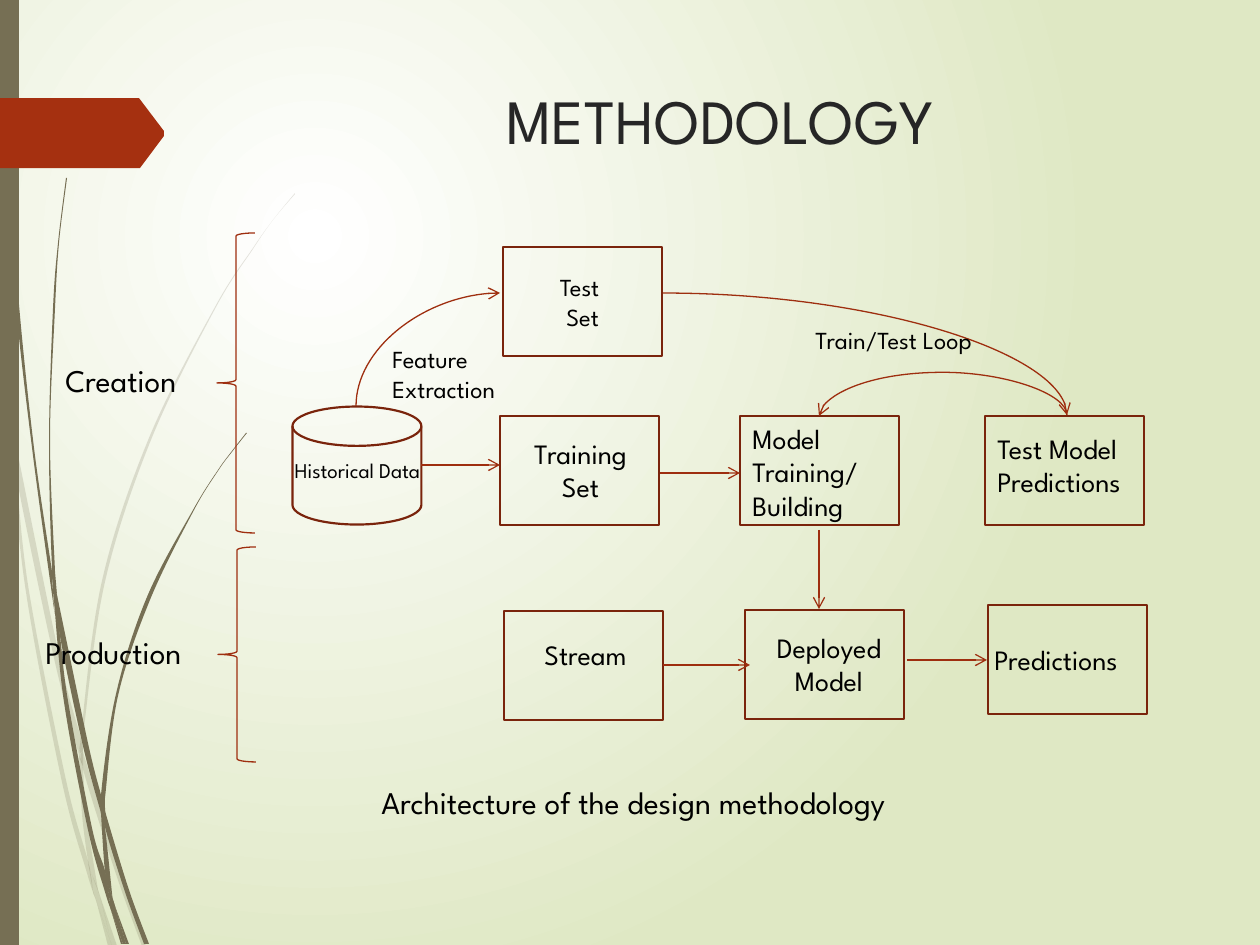
from dataclasses import dataclass

import lxml.etree
import pptx
import pptx.dml.color
import pptx.enum.dml
import pptx.enum.shapes
import pptx.enum.text
import pptx.oxml.ns
import pptx.util

EMU_PER_PX = 914400 / 126
FONT = "League Spartan"
COLORS = {"paper": "FFFFFF", "edge": "DFE8C4", "olive": "766F54", "ribbon": "A53010",
          "box": "7A240C", "link": "9E2E0F", "title": "262626", "text": "000000"}
SHAPES = pptx.enum.shapes.MSO_SHAPE
qn = pptx.oxml.ns.qn
Points = tuple[tuple[int, int], ...]


@dataclass(frozen=True)
class Outline:
    left: int
    top: int
    width: int = 159
    height: int = 109
    kind: int = SHAPES.RECTANGLE
    color: str = "box"
    weight: float = 1.25
    turn: int = 0


@dataclass(frozen=True)
class Label:
    left: int
    top: int
    width: int
    height: int
    lines: tuple[str, ...]
    size: int = 16
    centered: bool = False
    color: str = "text"


@dataclass(frozen=True)
class Link:
    start: tuple[int, int]
    end: tuple[int, int]
    preset: str = "line"
    turn: int = 0
    bend: int | None = None


@dataclass(frozen=True)
class Blade:
    """A piece of grass between two smooth edges, one going out and one back."""
    out: Points
    back: Points


PALE_BLADES = (
    Blade(((10, 441), (8, 406), (0, 355)), ((0, 377), (10, 433))),
    Blade(((14, 435), (16, 474), (54, 658), (79, 755)), ((81, 738), (59, 655), (14, 435))),
    Blade(((83, 751), (83, 769), (116, 874), (142, 946)),
          ((146, 946), (120, 872), (87, 765), (83, 751))),
    Blade(((100, 896), (112, 946)), ((117, 946), (100, 896))),
    Blade(((10, 441), (26, 592), (62, 782), (87, 873), (96, 900)),
          ((93, 891), (88, 861), (66, 780), (29, 591), (16, 474), (10, 441))),
    Blade(((79, 755), (82, 814), (88, 861), (91, 872), (100, 896)),
          ((98, 890), (86, 814), (83, 769), (79, 755))),
    Blade(((295, 193), (273, 220), (253, 248), (215, 307), (149, 438), (102, 581),
           (81, 736), (83, 751)),
          ((83, 736), (105, 582), (151, 440), (215, 309), (253, 249), (273, 220),
           (295, 194))),
    Blade(((96, 900), (108, 946)), ((112, 946), (96, 900))),
    Blade(((81, 738), (79, 755), (83, 766)), ((83, 769), (83, 751), (81, 738))),
    Blade(((88, 861), (93, 891), (96, 900), (112, 946)),
          ((112, 946), (100, 896), (91, 872), (88, 861))),
)
DARK_BLADES = (
    Blade(((3, 0), (6, 139), (15, 294), (32, 447), (53, 601), (54, 606)),
          ((52, 576), (52, 571), (34, 447), (18, 292), (8, 137), (4, 60), (4, 0))),
    Blade(((57, 595), (60, 636), (83, 746), (101, 813)),
          ((101, 798), (101, 795), (88, 743), (57, 595))),
    Blade(((105, 808), (105, 827), (125, 892), (144, 944)),
          ((149, 944), (129, 890), (107, 818), (105, 808))),
    Blade(((54, 601), (64, 702), (88, 830), (105, 892), (111, 910)),
          ((110, 903), (105, 871), (92, 828), (68, 701), (60, 636), (54, 601))),
    Blade(((66, 178), (58, 243), (53, 309), (49, 440), (52, 566), (57, 595)),
          ((55, 571), (50, 440), (55, 309), (59, 243), (67, 178))),
    Blade(((115, 906), (126, 944)), ((129, 944), (115, 906))),
    Blade(((52, 566), (52, 571), (54, 601), (60, 636)), ((57, 595), (52, 566))),
    Blade(((246, 433), (232, 451), (218, 470), (193, 510), (147, 597), (116, 694),
           (101, 795), (105, 808)),
          ((105, 798), (118, 696), (150, 600), (193, 512), (218, 471), (232, 452),
           (247, 433))),
    Blade(((111, 910), (121, 944)), ((123, 944), (111, 910))),
    Blade(((101, 813), (105, 871), (110, 890), (115, 906)),
          ((113, 902), (105, 827), (102, 820), (101, 813))),
    Blade(((101, 795), (101, 813), (102, 820), (105, 827)), ((105, 808), (101, 795))),
    Blade(((105, 871), (110, 903), (111, 910), (123, 944)),
          ((126, 944), (115, 906), (110, 890), (105, 871))),
)
RIBBON = ((0, 98), (139, 98), (164, 131), (164, 136), (140, 168), (0, 168))
OUTLINES = (
    Outline(298, 401, 118, 129, SHAPES.FLOWCHART_DIRECT_ACCESS_STORAGE, turn=270),
    Outline(500, 416), Outline(740, 416), Outline(985, 416),
    Outline(503, 247), Outline(504, 611), Outline(745, 610), Outline(988, 605),
    Outline(217, 233, 38, 300, SHAPES.LEFT_BRACE, "link", 0.75),
    Outline(218, 547, 38, 215, SHAPES.LEFT_BRACE, "link", 0.75),
)
LINKS = (
    Link((421, 465), (500, 465)), Link((660, 473), (740, 473)),
    Link((663, 665), (750, 665)), Link((819, 530), (819, 609)),
    Link((907, 660), (987, 660)),
    Link((356, 406), (500, 293), "curvedConnector2", turn=90),
    Link((663, 293), (1067, 415), "curvedConnector2"),
    Link((1067, 415), (819, 416), "curvedConnector3", turn=270, bend=-4300000),
)
LABELS = (
    Label(238, 75, 964, 158, ("METHODOLOGY",), 36, True, "title"),
    Label(273, 451, 169, 63, ("Historical Data",), 12, True),
    Label(502, 266, 155, 72, ("Test", " Set"), 14, True),
    Label(503, 430, 155, 81, ("Training Set",), centered=True),
    Label(506, 631, 159, 47, ("Stream",), centered=True),
    Label(740, 624, 178, 81, ("Deployed Model",), centered=True),
    Label(982, 636, 210, 47, ("Predictions",)),
    Label(740, 415, 159, 115, ("Model Training/", "Building")),
    Label(985, 425, 198, 81, ("Test Model Predictions",)),
    Label(803, 319, 183, 43, ("Train/Test Loop",), 14),
    Label(380, 338, 160, 72, ("Feature Extraction",), 14),
    Label(53, 355, 175, 50, ("Creation",), 18),
    Label(33, 627, 204, 50, ("Production",), 18),
    Label(153, 777, 961, 50, ("Architecture of the design methodology",), 18, True),
)


def emu(px: float) -> int:
    return round(px * EMU_PER_PX)


def rgb(name: str) -> pptx.dml.color.RGBColor:
    return pptx.dml.color.RGBColor.from_string(COLORS[name])


def paint_background(slide) -> None:
    fill = slide.background.fill
    fill.gradient()
    for stop, name in zip(fill.gradient_stops, ("paper", "edge")):
        stop.color.rgb = rgb(name)
    gradient = next(slide.element.iter(qn("a:gradFill")))
    gradient.remove(gradient.find(qn("a:lin")))
    radial = lxml.etree.SubElement(gradient, qn("a:path"), path="circle")
    lxml.etree.SubElement(radial, qn("a:fillToRect"),
                          l="50000", t="50000", r="100000", b="100000")


def paint(shape, color: str) -> None:
    shape.shadow.inherit = False
    shape.fill.solid()
    shape.fill.fore_color.rgb = rgb(color)
    shape.line.fill.background()


def draw_polygon(slide, points: Points, color: str):
    corners = [(emu(x), emu(y)) for x, y in points]
    builder = slide.shapes.build_freeform(*corners[0], scale=1.0)
    builder.add_line_segments(corners[1:], close=True)
    polygon = builder.convert_to_shape()
    paint(polygon, color)
    return polygon


def draw_blade(slide, blade: Blade, opacity: int = 100) -> None:
    """Draw the blade as a polygon, then bend each edge into Bezier curves."""
    polygon = draw_polygon(slide, blade.out + blade.back, "olive")
    properties = polygon.element.spPr
    sides = list(next(properties.iter(qn("a:moveTo"))).getparent())[:-1]
    corners = [(int(side[0].get("x")), int(side[0].get("y"))) for side in sides]
    turn = len(blade.out)
    for first, last in ((0, turn), (turn, len(corners))):
        edge = corners[first:last]
        padded = [edge[0], *edge, edge[-1]]
        for side, a, b, c, d in zip(sides[first + 1:last], padded, padded[1:],
                                    padded[2:], padded[3:]):
            side.tag = qn("a:cubicBezTo")
            handles = ([q + (r - p) / 6 for p, q, r in zip(a, b, c)],
                       [q - (r - p) / 6 for p, q, r in zip(b, c, d)])
            for place, (x, y) in enumerate(handles):
                side.insert(place, lxml.etree.Element(qn("a:pt"), x=str(round(x)),
                                                      y=str(round(y))))
    if opacity < 100:
        tint = next(properties.iter(qn("a:srgbClr")))
        lxml.etree.SubElement(tint, qn("a:alpha"), val=str(opacity * 1000))


def draw_outline(slide, outline: Outline) -> None:
    shape = slide.shapes.add_shape(outline.kind, emu(outline.left), emu(outline.top),
                                   emu(outline.width), emu(outline.height))
    shape.rotation = outline.turn
    shape.shadow.inherit = False
    shape.fill.background()
    shape.line.color.rgb = rgb(outline.color)
    shape.line.width = pptx.util.Pt(outline.weight)


def draw_link(slide, link: Link) -> None:
    """Draw an arrow; a turned one is first laid out unrotated about its middle."""
    (x1, y1), (x2, y2) = link.start, link.end
    middle_x, middle_y = (x1 + x2) / 2, (y1 + y2) / 2
    dx, dy = x1 - middle_x, y1 - middle_y
    dx, dy = {0: (dx, dy), 90: (dy, -dx), 270: (-dy, dx)}[link.turn]
    connector = slide.shapes.add_connector(
        pptx.enum.shapes.MSO_CONNECTOR.STRAIGHT, emu(middle_x + dx), emu(middle_y + dy),
        emu(middle_x - dx), emu(middle_y - dy))
    connector.rotation = link.turn
    connector.line.color.rgb = rgb("link")
    connector.line.width = pptx.util.Pt(0.75)
    properties = connector.element.spPr
    geometry = properties.find(qn("a:prstGeom"))
    geometry.set("prst", link.preset)
    if link.bend is not None:
        lxml.etree.SubElement(geometry.find(qn("a:avLst")), qn("a:gd"),
                              name="adj1", fmla=f"val {link.bend}")
    lxml.etree.SubElement(properties.find(qn("a:ln")), qn("a:tailEnd"), type="arrow")
    lxml.etree.SubElement(properties, qn("a:effectLst"))


def draw_label(slide, label: Label) -> None:
    frame = slide.shapes.add_textbox(emu(label.left), emu(label.top),
                                     emu(label.width), emu(label.height)).text_frame
    frame.word_wrap = True
    for index, line in enumerate(label.lines):
        paragraph = frame.add_paragraph() if index else frame.paragraphs[0]
        if label.centered:
            paragraph.alignment = pptx.enum.text.PP_ALIGN.CENTER
        run = paragraph.add_run()
        run.text = line
        run.font.name = FONT
        run.font.size = pptx.util.Pt(label.size)
        run.font.color.rgb = rgb(label.color)


def main() -> None:
    deck = pptx.Presentation()
    deck.slide_width, deck.slide_height = emu(1260), emu(945)
    slide = deck.slides.add_slide(deck.slide_layouts[6])
    paint_background(slide)
    for blade in PALE_BLADES:
        draw_blade(slide, blade, opacity=20)
    for blade in DARK_BLADES:
        draw_blade(slide, blade)
    paint(slide.shapes.add_shape(SHAPES.RECTANGLE, 0, 0, emu(19), emu(945)), "olive")
    draw_polygon(slide, RIBBON, "ribbon")
    for outline in OUTLINES:
        draw_outline(slide, outline)
    for link in LINKS:
        draw_link(slide, link)
    for label in LABELS:
        draw_label(slide, label)
    deck.save("out.pptx")


if __name__ == "__main__":
    main()
